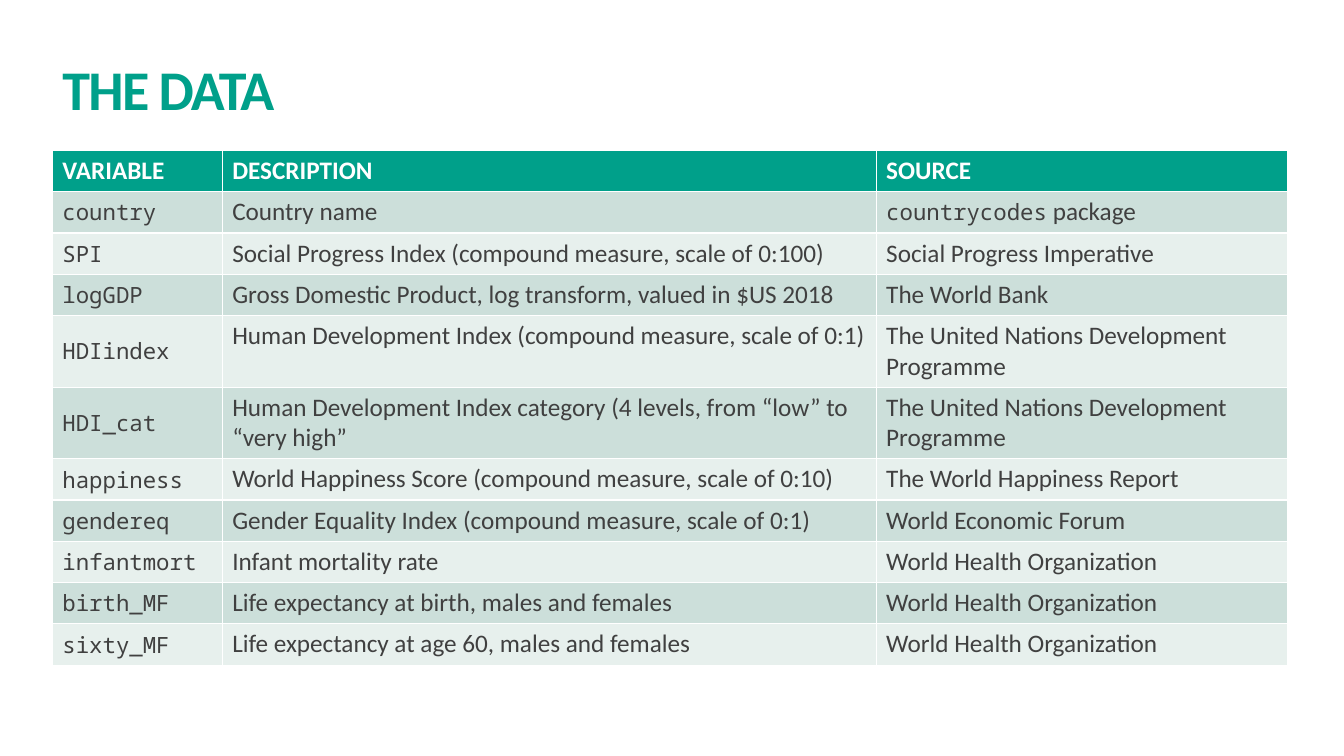
"""Build the slide that lists the variables, their meaning and their source."""
from pptx import Presentation
from pptx.dml.color import RGBColor
from pptx.enum import text
from pptx.util import Cm, Pt

TITLE = "THE DATA"
HEAD = ("VARIABLE", "DESCRIPTION", "SOURCE")
UNDP = "The United Nations Development Programme"
WHO = "World Health Organization"
CODE = "countrycodes"
ROWS = [
    ("country", "Country name", CODE + " package"),
    ("SPI", "Social Progress Index (compound measure, scale of 0:100)",
     "Social Progress Imperative"),
    ("logGDP", "Gross Domestic Product, log transform, valued in $US 2018",
     "The World Bank"),
    ("HDIindex", "Human Development Index (compound measure, scale of 0:1)", UNDP),
    ("HDI_cat", "Human Development Index category (4 levels, from “low” to “very high”",
     UNDP),
    ("happiness", "World Happiness Score (compound measure, scale of 0:10)",
     "The World Happiness Report"),
    ("gendereq", "Gender Equality Index (compound measure, scale of 0:1)",
     "World Economic Forum"),
    ("infantmort", "Infant mortality rate", WHO),
    ("birth_MF", "Life expectancy at birth, males and females", WHO),
    ("sixty_MF", "Life expectancy at age 60, males and females", WHO),
]
COLORS = {"green": "00A08A", "white": "FFFFFF", "ink": "404040",
          "dark": "CCDFDA", "light": "E7F0ED"}
SANS, MONO = ("Calibri", 18), ("Noto Sans Mono", 16)
LEFT, WIDTH = Cm(1.32), Cm(31.14)
COLS = (4.28, 16.48, 10.38)
ROW = Cm(1.04)


def style(font, face, color, bold=False):
    font.name, font.size = face[0], Pt(face[1])
    font.bold = bold
    font.color.rgb = RGBColor.from_string(COLORS[color])


def fill(cell, words, color, face, ink, bold=False):
    cell.fill.solid()
    cell.fill.fore_color.rgb = RGBColor.from_string(COLORS[color])
    para = cell.text_frame.paragraphs[0]
    if words.startswith(CODE):
        for part, look in ((CODE, MONO), (words[len(CODE):], face)):
            run = para.add_run()
            run.text = part
            style(run.font, look, ink, bold)
    else:
        para.text = words
        style(para.font, face, ink, bold)


def main():
    deck = Presentation()
    deck.slide_width, deck.slide_height = Cm(33.87), Cm(19.05)
    slide = deck.slides.add_slide(deck.slide_layouts[5])

    title = slide.shapes.title
    title.left, title.top, title.width, title.height = LEFT, Cm(1.14), WIDTH, Cm(2.44)
    title.text = TITLE
    title.text_frame.vertical_anchor = text.MSO_ANCHOR.MIDDLE
    para = title.text_frame.paragraphs[0]
    para.alignment = text.PP_ALIGN.LEFT
    para.line_spacing = 0.85
    style(para.font, ("Calibri", 40), "green", True)
    para.runs[0].font._element.set("spc", "-120")

    table = slide.shapes.add_table(len(ROWS) + 1, len(HEAD), LEFT, Cm(3.79),
                                   WIDTH, ROW * (len(ROWS) + 1)).table
    for col, size in zip(table.columns, COLS):
        col.width = Cm(size)
    for row in table.rows:
        row.height = ROW
    for c, words in enumerate(HEAD):
        fill(table.cell(0, c), words, "green", SANS, "white", True)
    for r, row in enumerate(ROWS, 1):
        band = "dark" if r % 2 else "light"
        for c, words in enumerate(row):
            fill(table.cell(r, c), words, band, SANS if c else MONO, "ink")
        table.cell(r, 0).vertical_anchor = text.MSO_ANCHOR.MIDDLE

    deck.save("out.pptx")


if __name__ == "__main__":
    main()
